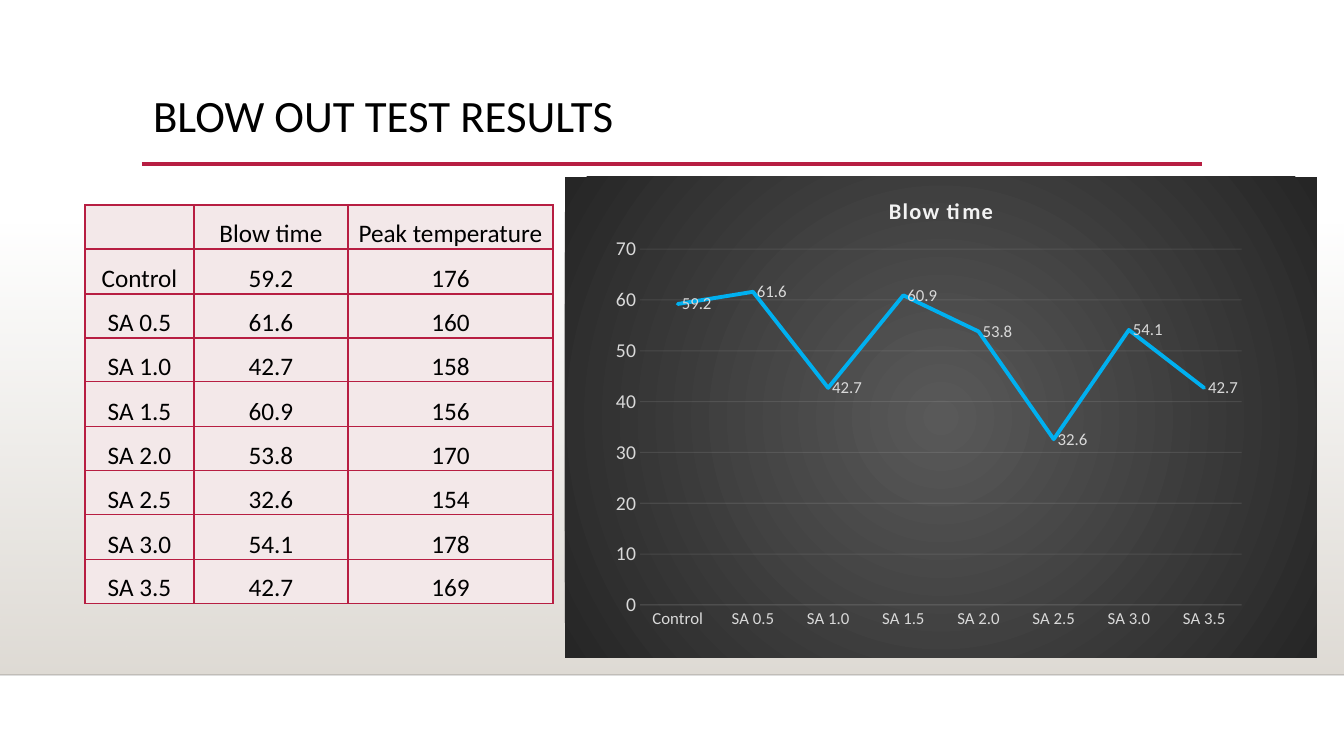
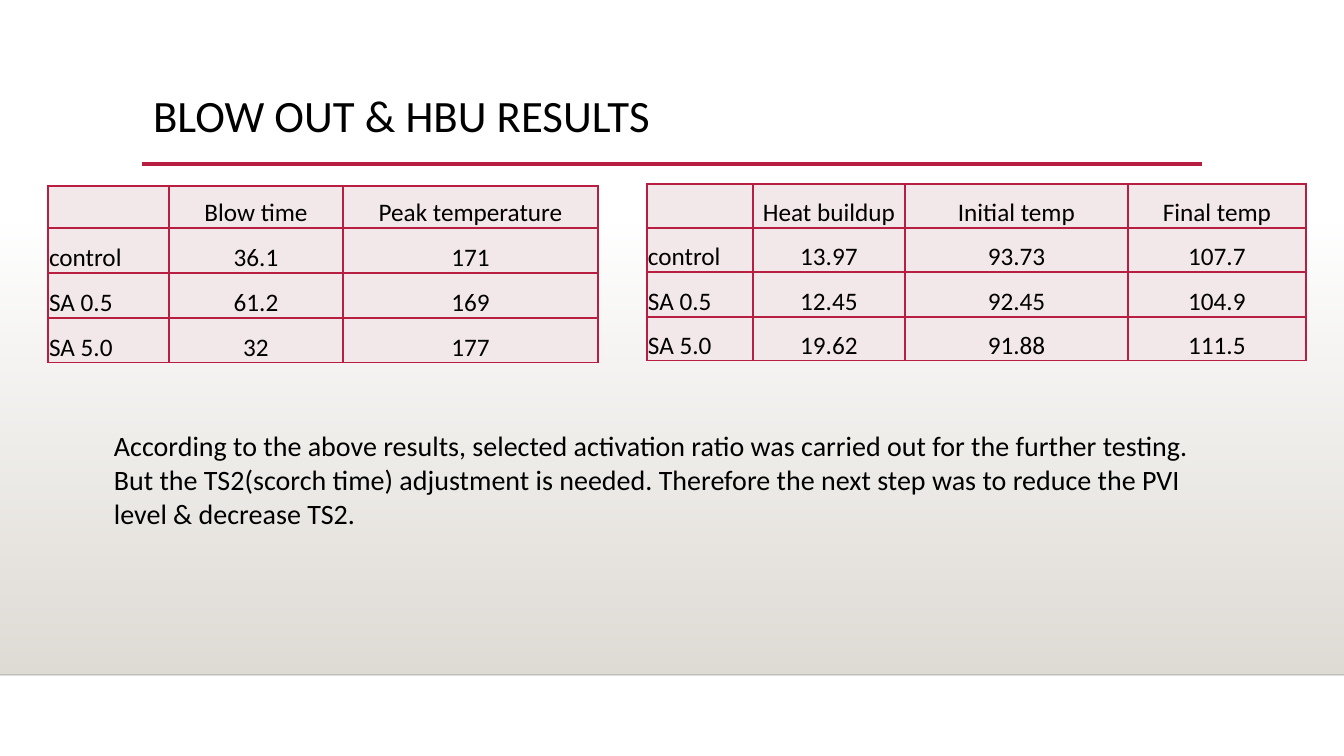
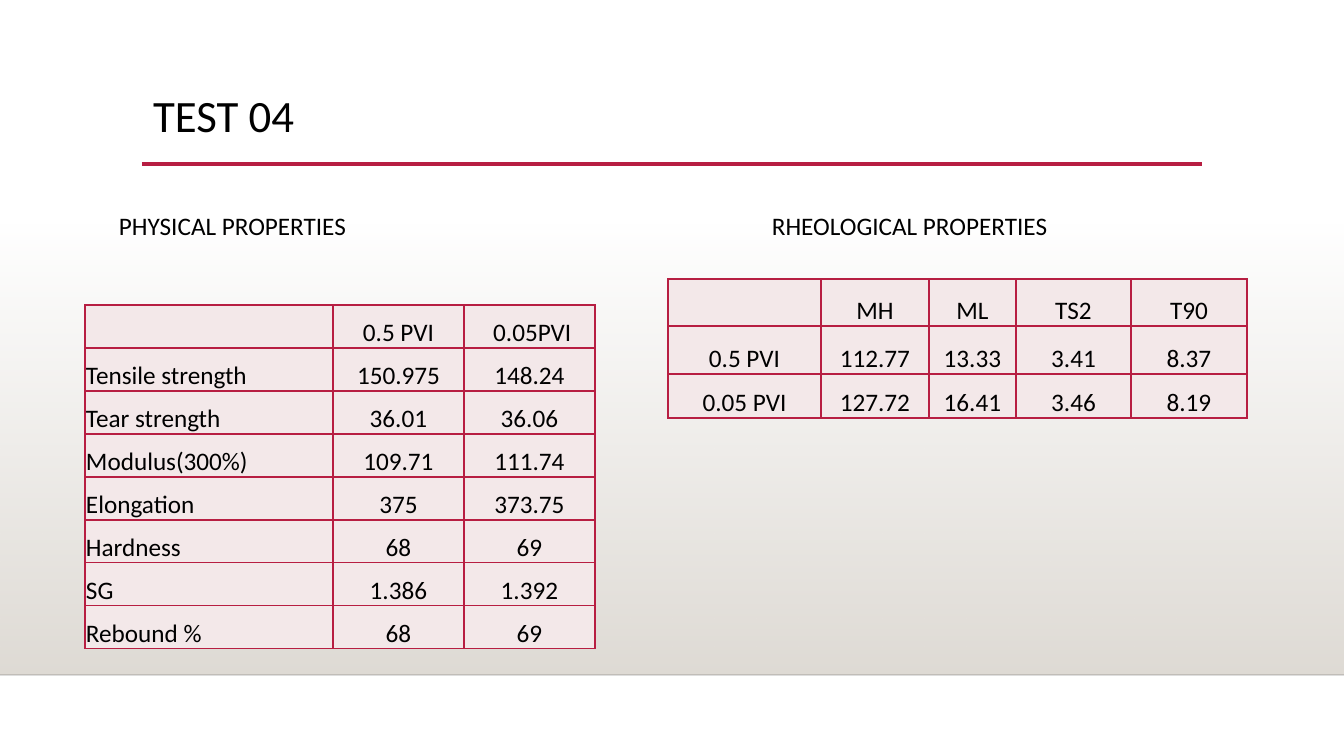
import pptx
import pptx.chart.data
import pptx.dml.color
import pptx.enum.chart
import pptx.enum.shapes
import pptx.enum.text
import pptx.oxml
import pptx.oxml.ns
import pptx.util
from lxml import etree

FONT = "Calibri"
BLACK, WHITE, CRIMSON, BLUSH = "000000", "FFFFFF", "B71E42", "F3E8E9"
STONE, SKY, SILVER, PALE = "DFDBD5", "00B0F0", "D9D9D9", "F2F2F2"
CENTER = pptx.enum.text.PP_ALIGN.CENTER
LEFT = pptx.enum.text.PP_ALIGN.LEFT


def px(n):
    """Pixels to EMU, at 100.8 pixels to the inch."""
    return pptx.util.Emu(round(n * 914400 / 100.8))


def rgb(color):
    return pptx.dml.color.RGBColor.from_string(color)


def split(total, count):
    """Cut a length into whole parts that differ by one pixel at most."""
    edges = [round(total * i / count) for i in range(count + 1)]
    return [b - a for a, b in zip(edges, edges[1:])]


def xml(tag, body=""):
    """Make an element of the DrawingML or chart namespace."""
    spaces = pptx.oxml.ns.nsdecls("a", "c")
    return pptx.oxml.parse_xml(f"<{tag} {spaces}>{body}</{tag}>")


def gradient(stops, direction):
    """stops: (position in %, colour, opacity in %)."""
    body = "".join(
        f'<a:gs pos="{pos * 1000}"><a:srgbClr val="{color}">'
        f'<a:alpha val="{alpha * 1000}"/></a:srgbClr></a:gs>'
        for pos, color, alpha in stops)
    return f"<a:gradFill><a:gsLst>{body}</a:gsLst>{direction}</a:gradFill>"


def style_font(font, size, color):
    font.name = FONT
    font.size = pptx.util.Pt(size)
    font.color.rgb = rgb(color)


def style_line(line, color, width, alpha=100):
    line.color.rgb = rgb(color)
    line.width = pptx.util.Pt(width)
    if alpha < 100:
        clr = line.fill._xPr.find(".//" + pptx.oxml.ns.qn("a:srgbClr"))
        etree.SubElement(clr, pptx.oxml.ns.qn("a:alpha"), val=str(alpha * 1000))


def add_run(p, text, size, color=BLACK):
    r = p.add_run()
    r.text = text
    style_font(r.font, size, color)
    return r


def add_rule(slide, x1, x2, y, color, width, alpha=100):
    s = slide.shapes.add_connector(
        pptx.enum.shapes.MSO_CONNECTOR.STRAIGHT, px(x1), px(y), px(x2), px(y))
    style_line(s.line, color, width, alpha)
    s.element.spPr.append(xml("a:effectLst"))
    return s


def add_band(slide, x, y, w, h):
    s = slide.shapes.add_shape(
        pptx.enum.shapes.MSO_SHAPE.RECTANGLE, px(x), px(y), px(w), px(h))
    s.shadow.inherit = False
    s.line.fill.background()
    s.fill.gradient()
    spPr = s.element.spPr
    old = spPr.find(pptx.oxml.ns.qn("a:gradFill"))
    fade = gradient([(0, STONE, 0), (100, STONE, 100)], '<a:lin ang="5400000" scaled="0"/>')
    spPr.replace(old, xml("a:spPr", fade)[0])
    return s


def set_up_layout(layout, slide):
    """Give the layout its title place, band and rules, drawn first on a slide."""
    layout.background.fill.solid()
    layout.background.fill.fore_color.rgb = rgb(WHITE)
    for s in list(layout.placeholders):
        if s.placeholder_format.idx:
            s.element.getparent().remove(s.element)
        else:
            s.left, s.top, s.width, s.height = px(143), px(89), px(1058), px(116)
            s.text_frame.vertical_anchor = pptx.enum.text.MSO_ANCHOR.TOP
    shared = [add_band(slide, 0, 223, 1344, 452),
              add_rule(slide, 0, 1344, 675, BLACK, 1, 20),
              add_rule(slide, 142, 1202, 164, CRIMSON, 2.5)]
    for s in shared:
        layout.shapes.element.append(s.element)


def set_title(slide, text):
    tf = slide.shapes.title.text_frame
    tf.auto_size = pptx.enum.text.MSO_AUTO_SIZE.NONE
    p = tf.paragraphs[0]
    p.alignment = LEFT
    p.line_spacing = 0.9
    add_run(p, text, 32)


def add_text(slide, x, y, w, h, lines, size):
    tf = slide.shapes.add_textbox(px(x), px(y), px(w), px(h)).text_frame
    tf.word_wrap = True
    for i, line in enumerate(lines):
        p = tf.add_paragraph() if i else tf.paragraphs[0]
        add_run(p, line, size)


def fill_cell(cell, text, align):
    cell.margin_left = cell.margin_right = cell.margin_top = px(1)
    cell.margin_bottom = 0
    cell.vertical_anchor = pptx.enum.text.MSO_ANCHOR.BOTTOM
    cell.fill.solid()
    cell.fill.fore_color.rgb = rgb(BLUSH)
    tcPr = cell._tc.get_or_add_tcPr()
    for i, side in enumerate("LRTB"):
        ln = xml(f"a:ln{side}", f'<a:solidFill><a:srgbClr val="{CRIMSON}"/></a:solidFill>')
        ln.set("w", str(pptx.util.Pt(1)))
        tcPr.insert(i, ln)
    p = cell.text_frame.paragraphs[0]
    p.alignment = align
    if text:
        add_run(p, text, 18)


def add_table(slide, x, y, widths, heights, rows, label_align=LEFT):
    """label_align sets the first column; the others are centred."""
    table = slide.shapes.add_table(
        len(rows), len(widths), px(x), px(y), px(sum(widths)), px(sum(heights))).table
    table.first_row = table.horz_banding = False
    for col, w in zip(table.columns, widths):
        col.width = px(w)
    for row, h, texts in zip(table.rows, heights, rows):
        row.height = px(h)
        for i, (cell, text) in enumerate(zip(row.cells, texts)):
            fill_cell(cell, text, CENTER if i else label_align)


def place_plot(chart, x, y, w, h):
    """Fix the inner plot area, in fractions of the chart."""
    sizes = "".join(f'<c:{k} val="{v}"/>' for k, v in zip("xywh", (x, y, w, h)))
    modes = '<c:xMode val="edge"/><c:yMode val="edge"/>'
    body = f'<c:manualLayout><c:layoutTarget val="inner"/>{modes}{sizes}</c:manualLayout>'
    area = chart._chartSpace.chart.plotArea
    for old in area.findall(pptx.oxml.ns.qn("c:layout")):
        area.remove(old)
    area.insert(0, xml("c:layout", body))


def add_line_chart(slide, x, y, w, h, name, cats, vals):
    data = pptx.chart.data.CategoryChartData()
    data.categories = cats
    data.add_series(name, vals)
    chart = slide.shapes.add_chart(
        pptx.enum.chart.XL_CHART_TYPE.LINE, px(x), px(y), px(w), px(h), data).chart
    style_font(chart.font, 10, BLACK)
    chart.has_legend = False
    glow = gradient([(0, "595959", 100), (100, "262626", 100)],
                    '<a:path path="circle"><a:fillToRect l="50000" t="50000" '
                    'r="50000" b="50000"/></a:path>')
    chart._chartSpace.chart.addnext(xml("c:spPr", glow + "<a:ln><a:noFill/></a:ln>"))
    place_plot(chart, 0.1, 0.15, 0.8, 0.74)

    chart.has_title = True
    r = add_run(chart.chart_title.text_frame.paragraphs[0], name, 16, PALE)
    r.font.bold = True
    r.font._element.set("spc", "100")
    chart.chart_title.include_in_layout = False

    for axis, size in ((chart.category_axis, 12), (chart.value_axis, 14)):
        axis.major_tick_mark = axis.minor_tick_mark = pptx.enum.chart.XL_TICK_MARK.NONE
        style_font(axis.tick_labels.font, size, SILVER)
    style_line(chart.category_axis.format.line, PALE, 0.75, 10)
    axis = chart.value_axis
    axis.minimum_scale, axis.maximum_scale, axis.major_unit = 0, 70, 10
    axis.format.line.fill.background()
    style_line(axis.major_gridlines.format.line, PALE, 0.75, 10)

    plot = chart.plots[0]
    plot.vary_by_categories = False
    series = plot.series[0]
    series.smooth = False
    series.marker.style = pptx.enum.chart.XL_MARKER_STYLE.NONE
    style_line(series.format.line, SKY, 2.75)
    series.format.line.fill._xPr.set("cap", "rnd")
    labels = series.data_labels
    labels.show_value = True
    labels.position = pptx.enum.chart.XL_LABEL_POSITION.RIGHT
    style_font(labels.font, 12, SILVER)


def blow_out_slide(slide):
    set_title(slide, "BLOW OUT TEST RESULTS")
    results = [("Control", 59.2, 176), ("SA 0.5", 61.6, 160), ("SA 1.0", 42.7, 158),
               ("SA 1.5", 60.9, 156), ("SA 2.0", 53.8, 170), ("SA 2.5", 32.6, 154),
               ("SA 3.0", 54.1, 178), ("SA 3.5", 42.7, 169)]
    rows = [("", "Blow time", "Peak temperature")]
    rows += [(mix, str(time), str(temp)) for mix, time, temp in results]
    add_table(slide, 85, 205, [109, 154, 205], split(399, 9), rows, CENTER)
    mixes, times, _ = zip(*results)
    add_line_chart(slide, 565, 177, 752, 481, "Blow time", mixes, times)


def heat_buildup_slide(slide):
    set_title(slide, "BLOW OUT & HBU RESULTS")
    add_table(slide, 48, 186, [121, 174, 255], [42, 45, 45, 45], [
        ("", "Blow time", "Peak temperature"),
        ("control", "36.1", "171"),
        ("SA 0.5", "61.2", "169"),
        ("SA 5.0", "32", "177")])
    add_table(slide, 647, 184, [106, 152, 223, 178], split(177, 4), [
        ("", "Heat buildup", "Initial temp", "Final temp"),
        ("control", "13.97", "93.73", "107.7"),
        ("SA 0.5", "12.45", "92.45", "104.9"),
        ("SA 5.0", "19.62", "91.88", "111.5")])
    add_text(slide, 104, 424, 1126, 112, [
        "According to the above results, selected activation ratio was carried out "
        "for the further testing.",
        "But the TS2(scorch time) adjustment is needed. Therefore the next step was "
        "to reduce the PVI level & decrease TS2."], 20)


def test_04_slide(slide):
    set_title(slide, "TEST 04")
    add_table(slide, 85, 305, [248, 131, 131], split(344, 8), [
        ("", "0.5 PVI", " 0.05PVI"),
        ("Tensile strength", "150.975", "148.24"),
        ("Tear strength", "36.01", "36.06"),
        ("Modulus(300%)", "109.71", "111.74"),
        ("Elongation", "375", "373.75"),
        ("Hardness", "68", "69"),
        ("SG", "1.386", "1.392"),
        ("Rebound %", "68", "69")])
    add_table(slide, 668, 279, [153, 108, 87, 115, 116], [47, 48, 44], [
        ("", "MH", "ML", "TS2", "T90"),
        ("0.5 PVI", "112.77", "13.33", "3.41", "8.37"),
        ("0.05 PVI", "127.72", "16.41", "3.46", "8.19")], CENTER)
    add_text(slide, 762, 205, 489, 40, ["RHEOLOGICAL PROPERTIES"], 18)
    add_text(slide, 109, 205, 411, 40, ["PHYSICAL PROPERTIES"], 18)


def main():
    prs = pptx.Presentation()
    prs.slide_width, prs.slide_height = px(1344), px(756)
    layout = prs.slide_layouts[5]
    builders = (blow_out_slide, heat_buildup_slide, test_04_slide)
    slides = [prs.slides.add_slide(layout) for _ in builders]
    set_up_layout(layout, slides[0])
    for build, slide in zip(builders, slides):
        build(slide)
    prs.save("out.pptx")


if __name__ == "__main__":
    main()
